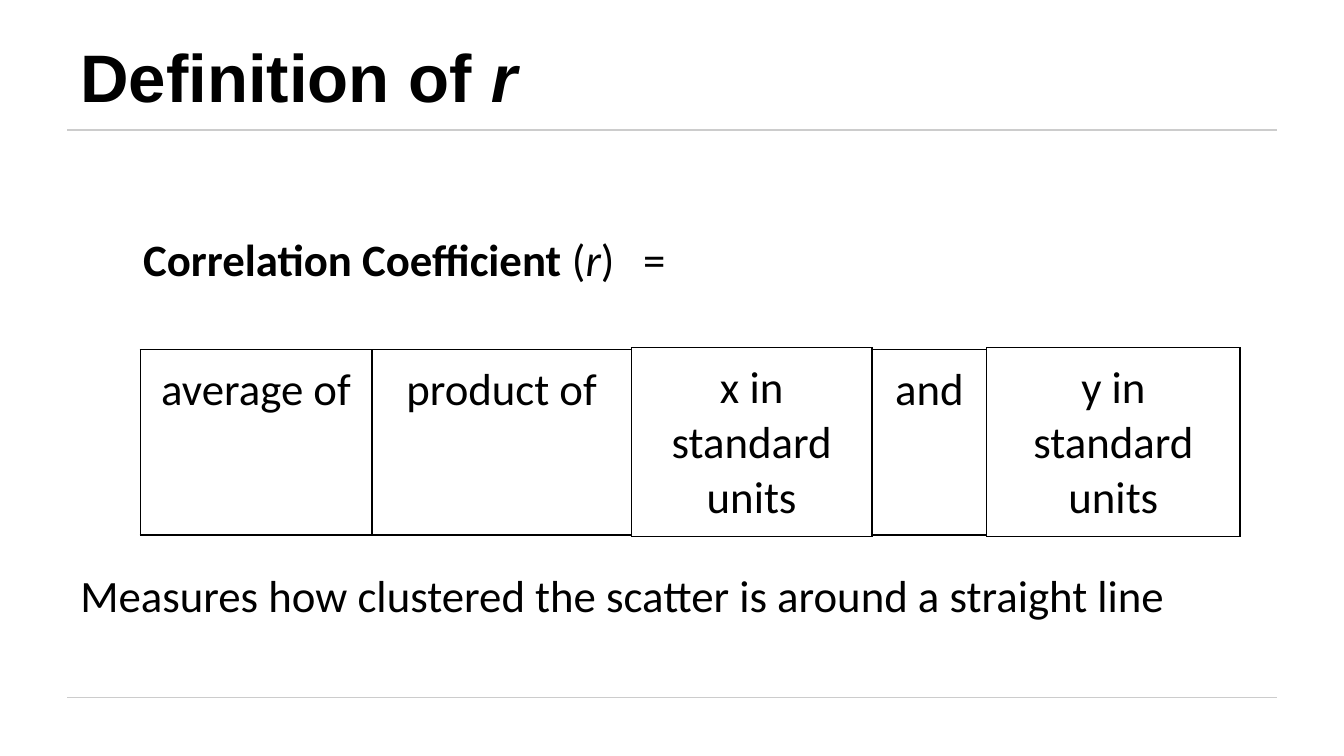
from dataclasses import dataclass

from lxml.etree import SubElement
from pptx import Presentation
from pptx.dml.color import RGBColor
from pptx.enum.shapes import MSO_CONNECTOR
from pptx.enum.text import MSO_ANCHOR, PP_ALIGN
from pptx.oxml.ns import qn
from pptx.util import Inches, Pt

WIDTH, HEIGHT = 13.33, 7.5


@dataclass(frozen=True)
class Theme:
    ink: str = "000000"
    rule: str = "CCCCCC"
    title_font: str = "Arial"
    body_font: str = "Calibri"
    title_size: int = 48
    body_size: int = 32
    line: float = 0.75
    border: float = 1
    inset: float = 0.13


THEME = Theme()


def col(percent):
    return Inches(WIDTH * percent / 100)


def row(percent):
    return Inches(HEIGHT * percent / 100)


def set_insets(target):
    for side in ("left", "top", "right", "bottom"):
        setattr(target, f"margin_{side}", Inches(THEME.inset))


def add_run(p, text, font=THEME.body_font, size=THEME.body_size, bold=False, italic=False):
    r = p.add_run()
    r.text = text
    r.font.name = font
    r.font.size = Pt(size)
    r.font.bold = bold
    r.font.italic = italic
    r.font.color.rgb = RGBColor.from_string(THEME.ink)


def add_text(s, left, top, width, height, anchor=MSO_ANCHOR.TOP):
    tf = s.shapes.add_textbox(col(left), row(top), col(width), row(height)).text_frame
    tf.word_wrap = True
    tf.vertical_anchor = anchor
    set_insets(tf)
    return tf.paragraphs[0]


def add_tab_stop(p, percent):
    tabs = SubElement(p._p.get_or_add_pPr(), qn("a:tabLst"))
    SubElement(tabs, qn("a:tab"), pos=str(col(percent)), algn="l")


def add_rule(s, left, right, top):
    line = s.shapes.add_connector(MSO_CONNECTOR.STRAIGHT, col(left), row(top), col(right), row(top))
    line.line.color.rgb = RGBColor.from_string(THEME.rule)
    line.line.width = Pt(THEME.line)
    SubElement(line._element.spPr, qn("a:effectLst"))


def add_borders(cell):
    tc_pr = cell._tc.get_or_add_tcPr()
    for side in ("lnL", "lnR", "lnT", "lnB"):
        ln = SubElement(tc_pr, qn(f"a:{side}"), w=str(Pt(THEME.border)))
        SubElement(SubElement(ln, qn("a:solidFill")), qn("a:srgbClr"), val=THEME.ink)


def add_term(s, text, left, top, width, height):
    table = s.shapes.add_table(1, 1, col(left), row(top), col(width), row(height)).table
    table.first_row = table.horz_banding = False
    cell = table.cell(0, 0)
    set_insets(cell)
    add_borders(cell)
    cell.fill.background()
    p = cell.text_frame.paragraphs[0]
    p.alignment = PP_ALIGN.CENTER
    add_run(p, text)


def add_formula(s, left):
    short, tall = (46.27, 24.5), (46, 24.93)
    terms = (
        ("average of", 17.25, short),
        ("product of", 19.3, short),
        ("x in standard units", 17.9, tall),
        ("and", 8.55, short),
        ("y in standard units", 18.83, tall),
    )
    for text, width, (top, height) in terms:
        add_term(s, text, left, top, width, height)
        left += width


def main():
    prs = Presentation()
    prs.slide_width, prs.slide_height = Inches(WIDTH), Inches(HEIGHT)
    s = prs.slides.add_slide(prs.slide_layouts[6])

    for top in (17.2, 92.27):
        add_rule(s, 5, 95, top)

    p = add_text(s, 5, 4, 73.4, 13.2, anchor=MSO_ANCHOR.BOTTOM)
    p.line_spacing = 0.9
    for text, italic in (("Definition of ", False), ("r", True)):
        add_run(p, text, font=THEME.title_font, size=THEME.title_size, bold=True, italic=italic)

    add_formula(s, 10.43)

    p = add_text(s, 9.68, 28.93, 51.4, 13.2)
    add_tab_stop(p, 37.2)
    add_run(p, "Correlation Coefficient", bold=True)
    add_run(p, " (")
    add_run(p, "r", italic=True)
    add_run(p, ")\t=")

    p = add_text(s, 5, 73.33, 91, 17.33)
    add_run(p, "Measures how clustered the scatter is around a straight line")

    prs.save("out.pptx")


if __name__ == "__main__":
    main()
